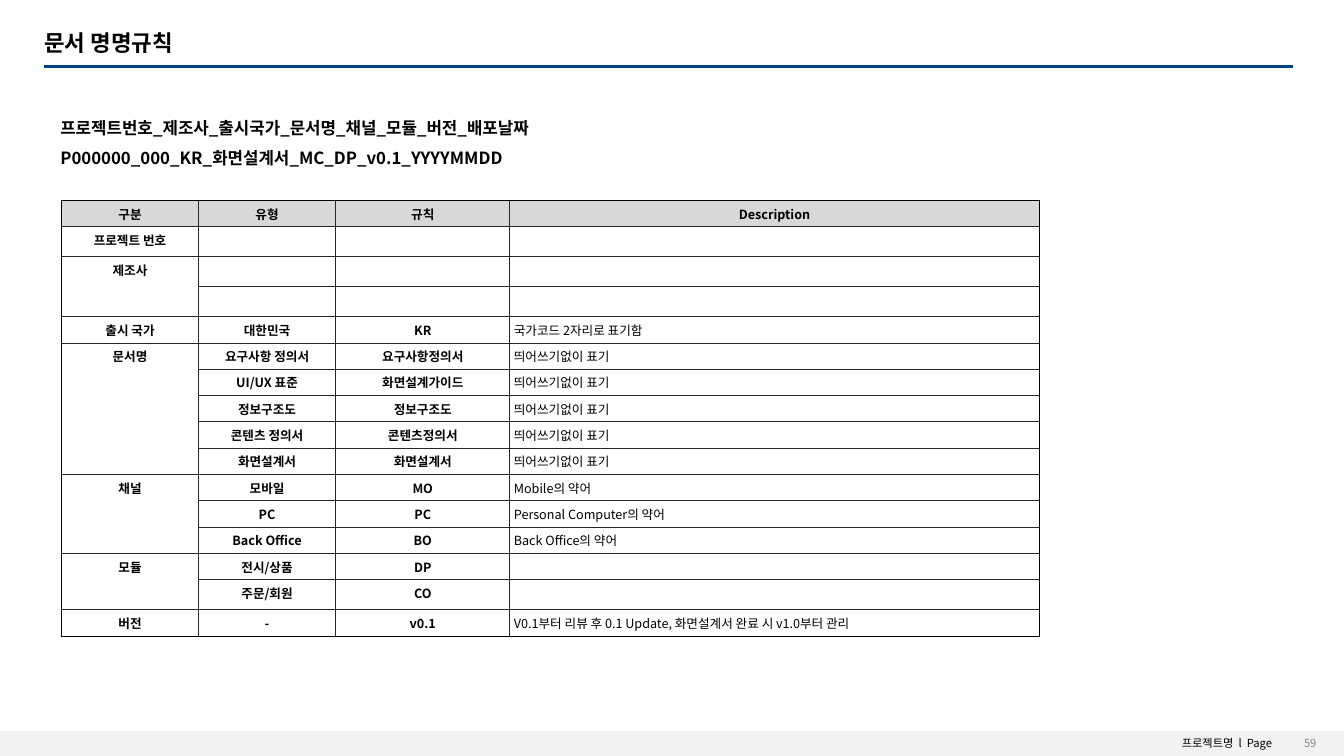
from lxml.etree import SubElement
from pptx import Presentation
from pptx.dml.color import RGBColor
from pptx.enum.shapes import MSO_CONNECTOR, MSO_SHAPE
from pptx.enum.text import MSO_ANCHOR, MSO_AUTO_SIZE, PP_ALIGN
from pptx.oxml.ns import qn
from pptx.util import Pt

FONT = "Noto Sans CJK KR"
BLACK, BORDER, HEADER, WHITE = "000000", "262626", "D8D8D8", "FFFFFF"
COLUMN_WIDTHS = [97.9, 97.9, 124.6, 378]
ROW_HEIGHT, TALL_ROW_HEIGHT = 18.8, 21.4
TALL_ROWS = {1, 2, 3, 14}
NO_SPACES = "띄어쓰기없이 표기"

# None continues the merged cell above.
RULES = [
    ("구분", "유형", "규칙", "Description"),
    ("프로젝트 번호", "", "", ""),
    ("제조사", "", "", ""),
    (None, "", "", ""),
    ("출시 국가", "대한민국", "KR", "국가코드 2자리로 표기함"),
    ("문서명", "요구사항 정의서", "요구사항정의서", NO_SPACES),
    (None, "UI/UX 표준", "화면설계가이드", NO_SPACES),
    (None, "정보구조도", "정보구조도", NO_SPACES),
    (None, "콘텐츠 정의서", "콘텐츠정의서", NO_SPACES),
    (None, "화면설계서", "화면설계서", NO_SPACES),
    ("채널", "모바일", "MO", "Mobile의 약어"),
    (None, "PC", "PC", "Personal Computer의 약어"),
    (None, "Back Office", "BO", "Back Office의 약어"),
    ("모듈", "전시/상품", "DP", ""),
    (None, "주문/회원", "CO", ""),
    ("버전", "-", "v0.1", "V0.1부터 리뷰 후 0.1 Update, 화면설계서 완료 시 v1.0부터 관리"),
]


def color(value):
    return RGBColor.from_string(value)


def write_text(frame, text, size=9, bold=False, text_color=BLACK,
               align=PP_ALIGN.LEFT, anchor=MSO_ANCHOR.TOP, line_spacing=None):
    frame.vertical_anchor = anchor
    for index, line in enumerate(text.split("\n")):
        paragraph = frame.paragraphs[0] if index == 0 else frame.add_paragraph()
        paragraph.alignment = align
        paragraph.space_before = Pt(0)
        if line_spacing:
            paragraph.line_spacing = line_spacing
        run = paragraph.add_run()
        run.text = line
        run.font.size = Pt(size)
        run.font.bold = bold
        run.font.color.rgb = color(text_color)
        run.font.name = FONT
        SubElement(run._r.get_or_add_rPr(), qn("a:ea"), typeface=FONT)


def add_text(slide, left, top, width, height, text, grow=True, **text_format):
    frame = slide.shapes.add_textbox(Pt(left), Pt(top), Pt(width), Pt(height)).text_frame
    frame.word_wrap = True
    frame.auto_size = MSO_AUTO_SIZE.SHAPE_TO_FIT_TEXT if grow else MSO_AUTO_SIZE.NONE
    write_text(frame, text, **text_format)


def add_title(slide, text):
    title = slide.shapes.title
    title.left, title.top, title.width, title.height = Pt(24.5), Pt(20.2), Pt(890.6), Pt(22.3)
    title.text_frame.auto_size = MSO_AUTO_SIZE.NONE
    write_text(title.text_frame, text, size=16, bold=True,
               anchor=MSO_ANCHOR.MIDDLE, line_spacing=0.9)


def add_band(slide, left, top, width, height, fill):
    band = slide.shapes.add_shape(MSO_SHAPE.RECTANGLE, Pt(left), Pt(top), Pt(width), Pt(height))
    band.shadow.inherit = False
    band.fill.solid()
    band.fill.fore_color.rgb = color(fill)
    band.line.fill.background()


def add_rule(slide, left, right, top, line_color, width):
    rule = slide.shapes.add_connector(MSO_CONNECTOR.STRAIGHT, Pt(left), Pt(top), Pt(right), Pt(top))
    rule.line.color.rgb = color(line_color)
    rule.line.width = Pt(width)
    SubElement(rule._element.spPr, qn("a:effectLst"))


def set_borders(cell, side_colors):
    properties = cell._tc.get_or_add_tcPr()
    for side, line_color in side_colors.items():
        line = SubElement(properties, qn(f"a:ln{side}"), w=str(Pt(0.75)))
        fill = SubElement(line, qn("a:solidFill"))
        SubElement(fill, qn("a:srgbClr"), val=line_color)


def format_cell(cell, row, column):
    cell.margin_left = cell.margin_right = cell.margin_top = cell.margin_bottom = Pt(2.83)
    set_borders(cell, {
        "L": BLACK if column == 0 else BORDER,
        "R": BLACK if column == len(COLUMN_WIDTHS) - 1 else BORDER,
        "T": BLACK if row == 0 else BORDER,
        "B": BLACK if row == len(RULES) - 1 else BORDER,
    })
    cell.fill.solid()
    cell.fill.fore_color.rgb = color(HEADER if row == 0 else WHITE)
    text = RULES[row][column]
    if text:
        description = column == 3 and row > 0
        write_text(cell.text_frame, text, bold=not description,
                   align=PP_ALIGN.LEFT if description else PP_ALIGN.CENTER,
                   anchor=MSO_ANCHOR.MIDDLE)
    else:
        # Keeps an empty cell from growing to the default text size.
        SubElement(cell.text_frame.paragraphs[0]._p, qn("a:endParaRPr"), sz="900")


def add_rules_table(slide, left, top):
    heights = [TALL_ROW_HEIGHT if row in TALL_ROWS else ROW_HEIGHT for row in range(len(RULES))]
    table = slide.shapes.add_table(len(RULES), len(COLUMN_WIDTHS), Pt(left), Pt(top),
                                   Pt(sum(COLUMN_WIDTHS)), Pt(sum(heights))).table
    table.horz_banding = False
    for column, width in enumerate(COLUMN_WIDTHS):
        table.columns[column].width = Pt(width)
    for row, height in enumerate(heights):
        table.rows[row].height = Pt(height)
        for column in range(len(COLUMN_WIDTHS)):
            format_cell(table.cell(row, column), row, column)

    starts = [row for row, rule in enumerate(RULES) if rule[0] is not None]
    for start, following in zip(starts, starts[1:] + [len(RULES)]):
        if following - start > 1:
            table.cell(start, 0).merge(table.cell(following - 1, 0))


def main():
    presentation = Presentation()
    presentation.slide_width, presentation.slide_height = Pt(960), Pt(540)
    slide = presentation.slides.add_slide(presentation.slide_layouts[5])

    add_band(slide, 0, 522, 960, 18, "F2F2F2")
    add_text(slide, 720, 522.7, 195.8, 17.3, "프로젝트명  l  Page", size=8, align=PP_ALIGN.RIGHT)
    add_rule(slide, 31.5, 923.6, 47.5, "00458A", 2.25)
    add_text(slide, 897.1, 525.4, 50.4, 10.8, "59", grow=False, size=8, text_color="888888",
             align=PP_ALIGN.RIGHT, anchor=MSO_ANCHOR.MIDDLE)
    add_title(slide, "문서 명명규칙")
    add_rules_table(slide, 43.9, 143.3)
    add_text(slide, 36, 73.4, 402.5, 51.1,
             "프로젝트번호_제조사_출시국가_문서명_채널_모듈_버전_배포날짜\n"
             "P000000_000_KR_화면설계서_MC_DP_v0.1_YYYYMMDD",
             size=12, bold=True, line_spacing=1.5)

    presentation.save("out.pptx")


if __name__ == "__main__":
    main()
